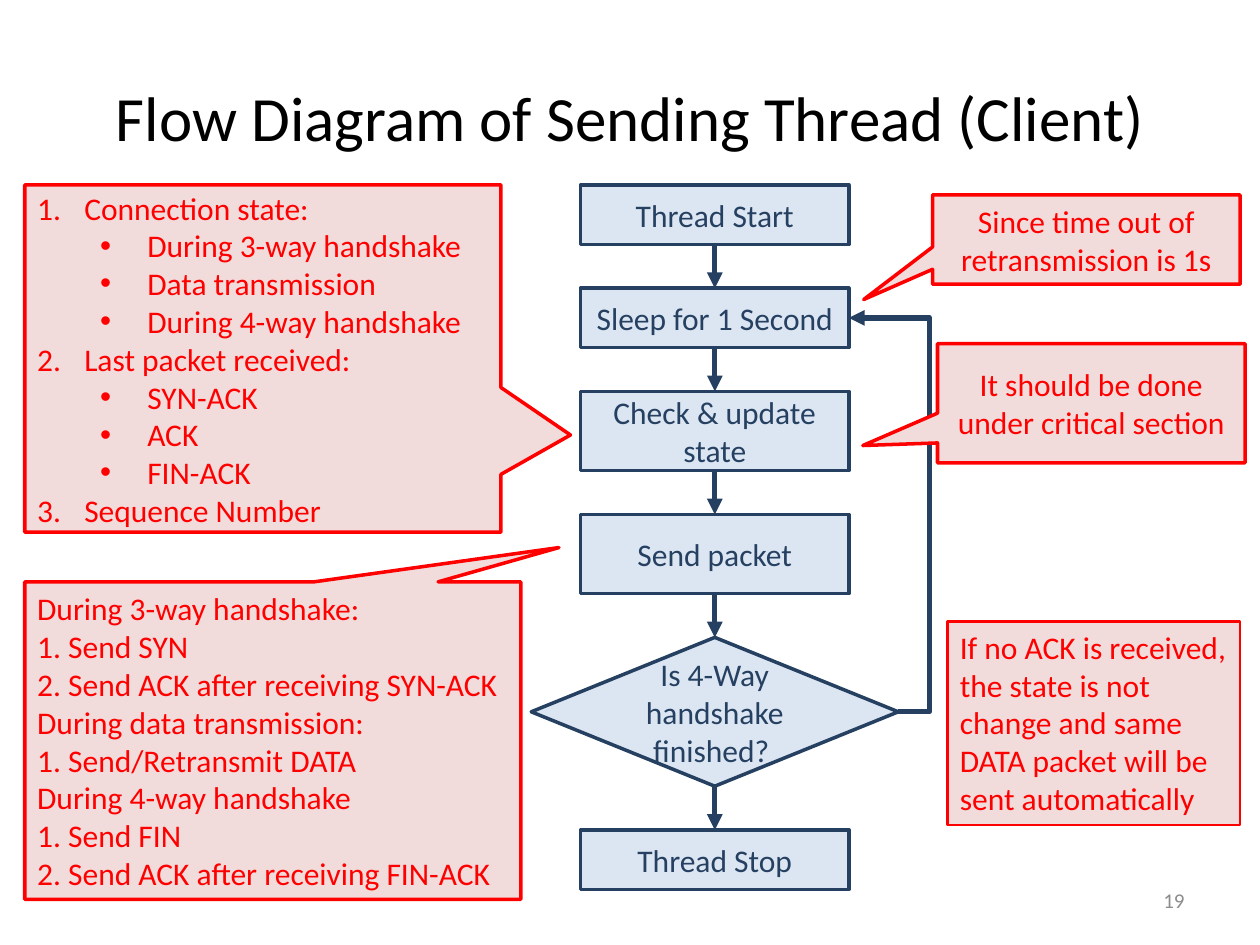
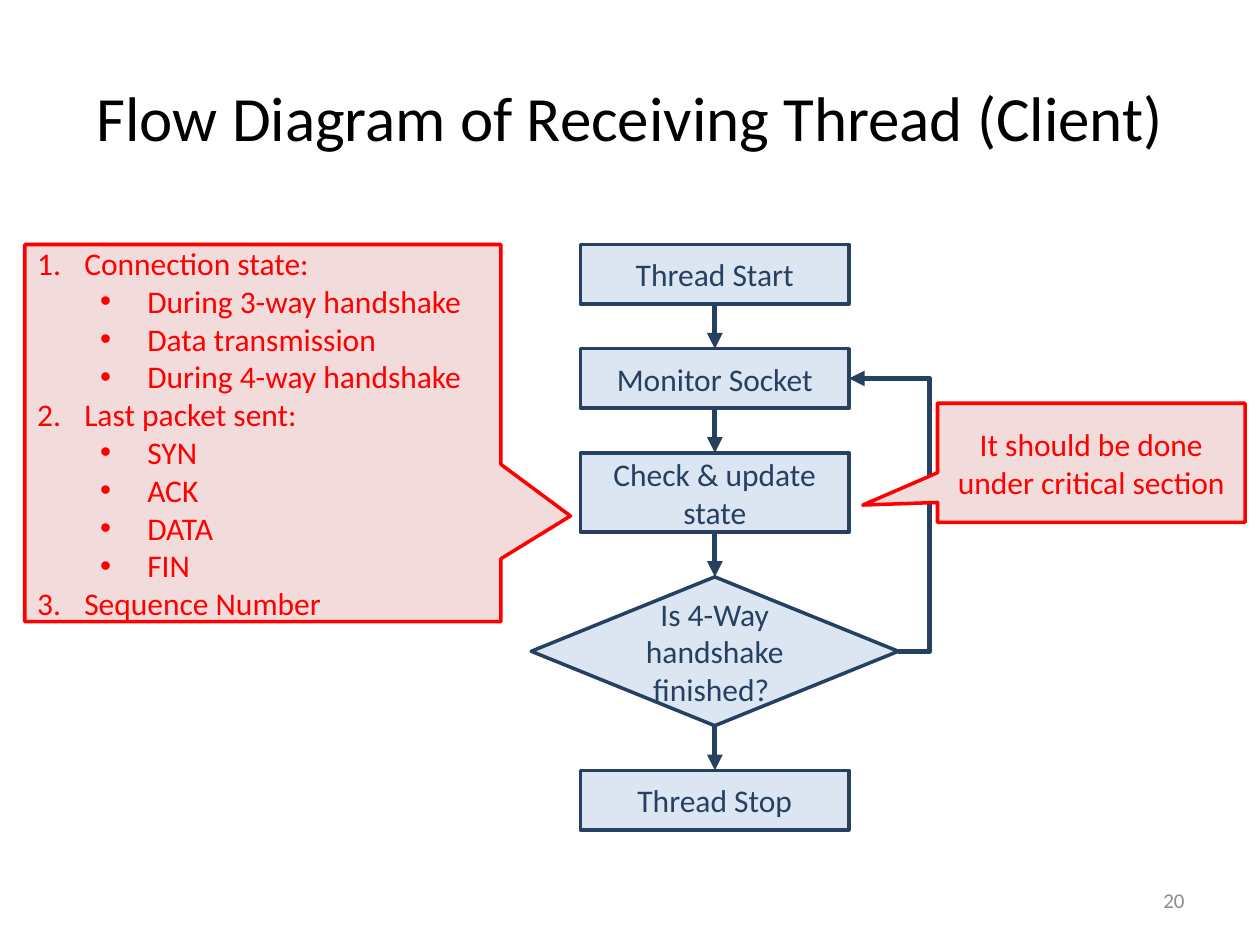
from lxml import etree
from pptx import Presentation
from pptx.dml.color import RGBColor
from pptx.enum import shapes, text
from pptx.oxml import ns
from pptx.util import Cm, Pt

NAVY = RGBColor(0x25, 0x40, 0x61)
PALE_BLUE = RGBColor(0xDC, 0xE6, 0xF2)
RED = RGBColor(0xFF, 0x00, 0x00)
PALE_RED = RGBColor(0xF2, 0xDC, 0xDB)
BLACK = RGBColor(0x00, 0x00, 0x00)
GREY = RGBColor(0x8C, 0x8C, 0x8C)
FONT = "Calibri"

RECT = shapes.MSO_SHAPE.RECTANGLE
DIAMOND = shapes.MSO_SHAPE.FLOWCHART_DECISION
CALLOUT = shapes.MSO_SHAPE.RECTANGULAR_CALLOUT
LEFT, CENTER, RIGHT = text.PP_ALIGN.LEFT, text.PP_ALIGN.CENTER, text.PP_ALIGN.RIGHT
MIDDLE, TOP = text.MSO_ANCHOR.MIDDLE, text.MSO_ANCHOR.TOP

FLOW_W = 7.4
STEP_W = 5.41
LOOP_OUT = 0.635
FLOW_LEFT = 10.71
NOTE_LEFT = 0.5
LIST_W = 9.6

START = (RECT, 1.2, "Thread Start")
UPDATE = (RECT, 1.6, "Check & update state")
FINISHED = (DIAMOND, 3.0, "Is 4-Way handshake finished? ")
STOP = (RECT, 1.2, "Thread Stop")
HANDSHAKE_STATES = ["During 3-way handshake", "Data transmission", "During 4-way handshake"]


def write(sp, lines, size, color, align, anchor=MIDDLE):
    tf = sp.text_frame
    tf.word_wrap = True
    tf.vertical_anchor = anchor
    tf.text = "\n".join(lines)
    for p in tf.paragraphs:
        p.alignment = align
        for r in p.runs:
            r.font.name = FONT
            r.font.size = Pt(size)
            r.font.color.rgb = color


def add_box(slide, kind, box, lines, fill, color, align=CENTER, anchor=MIDDLE, weight=2):
    sp = slide.shapes.add_shape(kind, *(Cm(v) for v in box))
    sp.shadow.inherit = False
    sp.fill.solid()
    sp.fill.fore_color.rgb = fill
    sp.line.color.rgb = color
    sp.line.width = Pt(weight)
    write(sp, lines, 18, color, align, anchor)
    return sp


def add_arrow(slide, kind, source, source_site, target, target_site):
    c = slide.shapes.add_connector(kind, 0, 0, 0, 0)
    c.begin_connect(source, source_site)
    c.end_connect(target, target_site)
    c.line.color.rgb = NAVY
    c.line.width = Pt(3)
    etree.SubElement(c.line._get_or_add_ln(), ns.qn("a:tailEnd"), type="triangle")
    etree.SubElement(c._element.spPr, ns.qn("a:effectLst"))
    return c


def add_loop(slide, decision, step):
    c = add_arrow(slide, shapes.MSO_CONNECTOR.ELBOW, decision, 3, step, 3)
    geom = c._element.spPr.find(ns.qn("a:prstGeom"))
    guides = geom.find(ns.qn("a:avLst"))
    if guides is None:
        guides = etree.SubElement(geom, ns.qn("a:avLst"))
    ratio = round(-LOOP_OUT * 100000)
    etree.SubElement(guides, ns.qn("a:gd"), name="adj1", fmla=f"val {ratio}")


def add_flow(slide, left, top, gap, steps):
    nodes = []
    for kind, height, label in steps:
        width = FLOW_W if kind == DIAMOND else STEP_W
        box = (left + (FLOW_W - width) / 2, top, width, height)
        nodes.append(add_box(slide, kind, box, [label], PALE_BLUE, NAVY))
        top += height + gap
    for above, below in zip(nodes, nodes[1:]):
        add_arrow(slide, shapes.MSO_CONNECTOR.STRAIGHT, above, 2, below, 0)
    add_loop(slide, nodes[-2], nodes[1])


def add_callout(slide, box, tip, lines, align=CENTER):
    sp = add_box(slide, CALLOUT, box, lines, PALE_RED, RED, align)
    sp.adjustments[0], sp.adjustments[1] = tip
    return sp


def set_bullet(p, level):
    p.level = level
    pPr = p._p.get_or_add_pPr()
    pPr.set("marL", str(Cm(2.22 if level else 0.95)))
    pPr.set("indent", str(-Cm(0.95)))
    if level:
        etree.SubElement(pPr, ns.qn("a:buFont"), typeface="Arial")
        etree.SubElement(pPr, ns.qn("a:buChar"), char="•")
    else:
        etree.SubElement(pPr, ns.qn("a:buFont"), typeface="+mj-lt")
        etree.SubElement(pPr, ns.qn("a:buAutoNum"), type="arabicPeriod")


def add_state_list(slide, top, height, outline):
    items = [(level, line) for head, subs in outline
             for level, line in [(0, head)] + [(1, sub) for sub in subs]]
    sp = add_callout(slide, (NOTE_LEFT, top, LIST_W, height), (0.646, 0.22),
                     [line for _, line in items], LEFT)
    for p, (level, _) in zip(sp.text_frame.paragraphs, items):
        set_bullet(p, level)


def add_critical_note(slide, top):
    add_callout(slide, (18.9, top, 6.2, 2.4), (-0.743, 0.355),
                ["It should be done under critical section"])


def add_slide(prs, title, number):
    slide = prs.slides.add_slide(prs.slide_layouts[5])
    sp = slide.shapes.title
    sp.left, sp.top, sp.width, sp.height = Cm(1.27), Cm(0.76), Cm(22.86), Cm(3.18)
    write(sp, [title], 36, BLACK, CENTER)
    footer = slide.shapes.add_textbox(Cm(18.2), Cm(17.65), Cm(5.93), Cm(1.01))
    write(footer, [number], 12, GREY, RIGHT)
    return slide


def sending_slide(prs):
    slide = add_slide(prs, "Flow Diagram of Sending Thread (Client)", "19")
    add_flow(slide, FLOW_LEFT, 3.73, 0.88, [
        START, (RECT, 1.2, "Sleep for 1 Second"), UPDATE,
        (RECT, 1.6, "Send packet"), FINISHED, STOP])
    add_callout(slide, (18.8, 3.93, 6.2, 1.8), (-0.724, 0.672),
                ["Since time out of retransmission is 1s"])
    add_callout(slide, (NOTE_LEFT, 11.73, 10, 6.4), (0.577, -0.608), [
        "During 3-way handshake:",
        "1. Send SYN",
        "2. Send ACK after receiving SYN-ACK",
        "During data transmission:",
        "1. Send/Retransmit DATA",
        "During 4-way handshake",
        "1. Send FIN",
        "2. Send ACK after receiving FIN-ACK"], LEFT)
    add_state_list(slide, 3.73, 7, [
        ("Connection state:", HANDSHAKE_STATES),
        ("Last packet received:", ["SYN-ACK", "ACK", "FIN-ACK"]),
        ("Sequence Number", [])])
    add_box(slide, RECT, (19.1, 12.53, 5.9, 4.1),
            ["If no ACK is received, the state is not change and same "
             "DATA packet will be sent automatically"],
            PALE_RED, RED, LEFT, TOP, 1.5)
    add_critical_note(slide, 6.93)


def receiving_slide(prs):
    slide = add_slide(prs, "Flow Diagram of Receiving Thread (Client)", "20")
    add_flow(slide, FLOW_LEFT, 4.93, 0.9, [
        START, (RECT, 1.2, "Monitor Socket"), UPDATE, FINISHED, STOP])
    add_state_list(slide, 4.93, 7.6, [
        ("Connection state:", HANDSHAKE_STATES),
        ("Last packet sent:", ["SYN", "ACK", "DATA", "FIN"]),
        ("Sequence Number", [])])
    add_critical_note(slide, 8.13)


def main():
    prs = Presentation()
    prs.slide_width, prs.slide_height = Cm(25.4), Cm(19.05)
    sending_slide(prs)
    receiving_slide(prs)
    prs.save("out.pptx")


if __name__ == "__main__":
    main()
